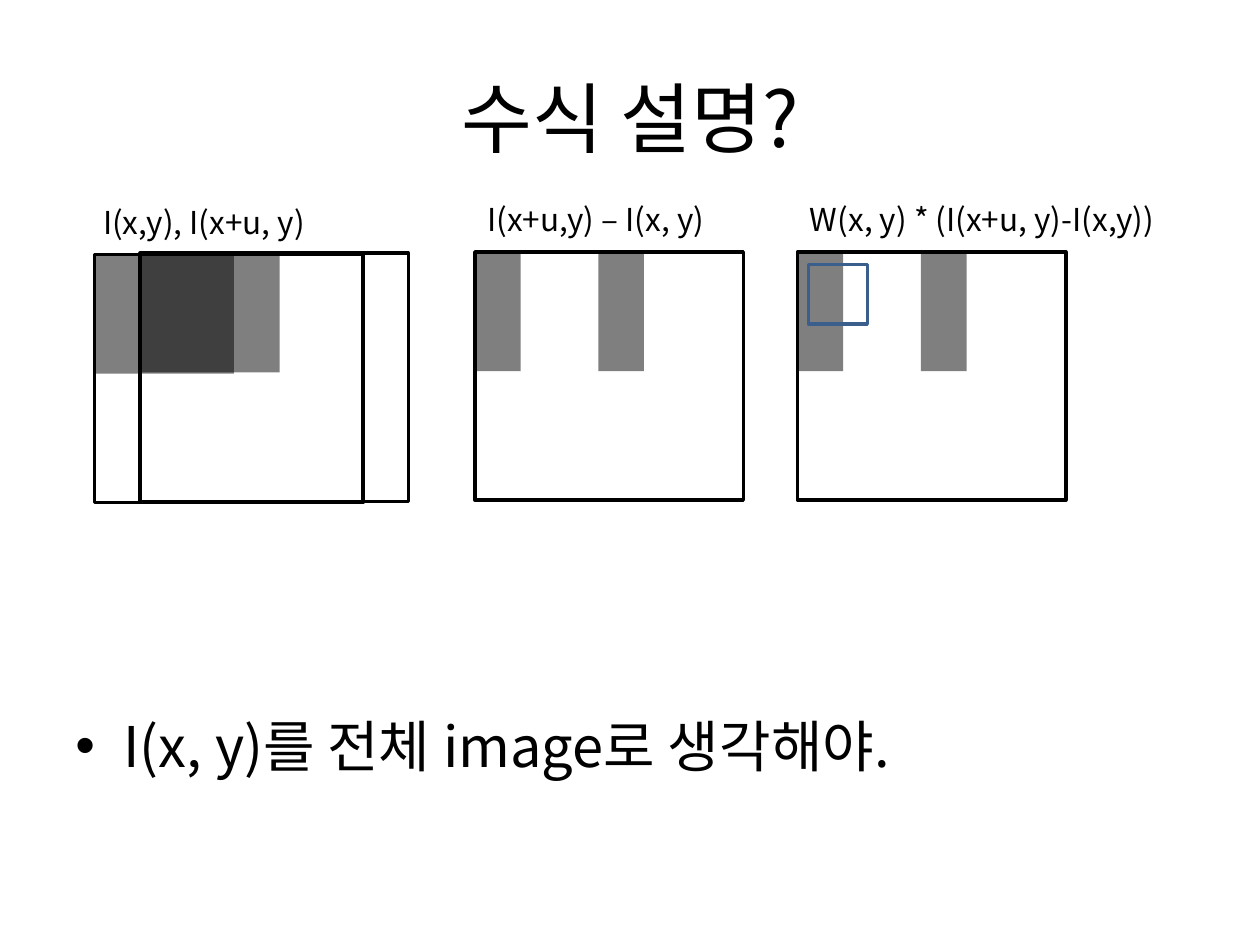
import pptx
import pptx.util
import pptx.dml.color
import pptx.enum.shapes
import pptx.enum.text
import pptx.oxml
import pptx.oxml.ns
import lxml.etree

COLORS = {"ink": "000000", "window": "3A5F8C"}
FONT = "Noto Sans CJK KR"
COLS, ROWS = 100, 75
FRAME_W, FRAME_H = 21.3, 19.7
BLOCK, STRIP, STRIP_H, STRIP_X = 0.52, 0.17, 0.48, 0.46

prs = pptx.Presentation()
prs.slide_width = pptx.util.Inches(10)
prs.slide_height = pptx.util.Inches(7.5)


def rgb(name):
    """Return the named colour."""
    return pptx.dml.color.RGBColor.from_string(COLORS[name])


def grid(x, y, w, h):
    """Turn columns and rows into slide lengths."""
    cw, rh = prs.slide_width / COLS, prs.slide_height / ROWS
    return [round(v) for v in (x * cw, y * rh, w * cw, h * rh)]


def part(box, x, y, w, h):
    """Return the box covering the given shares of another box."""
    return (box[0] + x * box[2], box[1] + y * box[3], w * box[2], h * box[3])


def add_text(slide, box, text, size, frame=None, para=None):
    """Place one line of text with frame and paragraph formats."""
    tf = slide.shapes.add_textbox(*grid(*box)).text_frame
    for key, value in {"word_wrap": True, **(frame or {})}.items():
        setattr(tf, key, value)
    p = tf.paragraphs[0]
    for key, value in (para or {}).items():
        setattr(p, key, value)
    r = p.add_run()
    r.text = text
    for key, value in {"size": pptx.util.Pt(size), "name": FONT}.items():
        setattr(r.font, key, value)
    r.font.color.rgb = rgb("ink")
    lxml.etree.SubElement(r.font._element, pptx.oxml.ns.qn("a:ea"), typeface=FONT)
    return p


def add_rect(slide, box):
    """Place a rectangle without a shadow."""
    sp = slide.shapes.add_shape(pptx.enum.shapes.MSO_SHAPE.RECTANGLE, *grid(*box))
    sp.shadow.inherit = False
    return sp


def add_outline(slide, box, color="ink"):
    """Place an unfilled outlined rectangle."""
    sp = add_rect(slide, box)
    sp.fill.background()
    sp.line.color.rgb = rgb(color)
    sp.line.width = pptx.util.Pt(2)


def add_shade(slide, box):
    """Place a half-transparent dark rectangle."""
    sp = add_rect(slide, box)
    sp.line.fill.background()
    sp.fill.solid()
    sp.fill.fore_color.rgb = rgb("ink")
    clr = sp._element.spPr.find(".//" + pptx.oxml.ns.qn("a:srgbClr"))
    lxml.etree.SubElement(clr, pptx.oxml.ns.qn("a:alpha"), val="50000")


def add_panel(slide, box, shades):
    """Place an image frame with shaded parts hanging from its top."""
    add_outline(slide, box)
    for x, w in shades:
        add_shade(slide, part(box, x, 0, w, STRIP_H))


def add_label(slide, x, y, w, text):
    """Place a formula above a panel."""
    add_text(slide, (x, y, w, 4), text, 18, {"word_wrap": False})


def add_overlap(slide, box):
    """Place the image and its shifted copy."""
    x, y, w, h = box
    add_panel(slide, box, [(0, BLOCK)])
    add_label(slide, x - 0.3, y - 4.6, 18, "I(x,y), I(x+u, y)")
    add_panel(slide, (x + STRIP * w, y - 0.1, w, h), [(0, BLOCK)])


def add_difference(slide, box, label, label_w):
    """Place a difference image with its two strips."""
    add_panel(slide, box, [(0, STRIP), (STRIP_X, STRIP)])
    add_label(slide, box[0], box[1] - 4.6, label_w, label)


def add_title(slide, box):
    """Place the centred title."""
    add_text(slide, box, "수식 설명?", 44,
             {"vertical_anchor": pptx.enum.text.MSO_ANCHOR.MIDDLE},
             {"alignment": pptx.enum.text.PP_ALIGN.CENTER})


def add_body(slide, box):
    """Place the bulleted remark."""
    p = add_text(slide, box, "I(x, y)를 전체 image로 생각해야.", 32,
                 para={"space_before": pptx.util.Pt(6.4)})
    pPr = p._p.get_or_add_pPr()
    indent = pptx.util.Inches(0.38)
    for key, value in {"marL": indent, "indent": -indent}.items():
        pPr.set(key, str(int(value)))
    lxml.etree.SubElement(pPr, pptx.oxml.ns.qn("a:buFont"), typeface="Arial")
    lxml.etree.SubElement(pPr, pptx.oxml.ns.qn("a:buChar"), char="•")


def main():
    """Build and save the slide."""
    slide = prs.slides.add_slide(prs.slide_layouts[6])
    add_title(slide, (5, 3, 90, 12.5))
    add_body(slide, (5, 56, 90, 11.4))
    add_overlap(slide, (7.5, 20.2, FRAME_W, FRAME_H))
    add_difference(slide, (37.7, 20, FRAME_W, FRAME_H), "I(x+u,y) – I(x, y)", 19.6)
    weighted = (63.3, 20, FRAME_W, FRAME_H)
    add_difference(slide, weighted, "W(x, y) * (I(x+u, y)-I(x,y))", 29.8)
    add_outline(slide, part(weighted, 0.04, 0.05, 0.22, 0.24), "window")
    prs.save("out.pptx")


if __name__ == "__main__":
    main()
